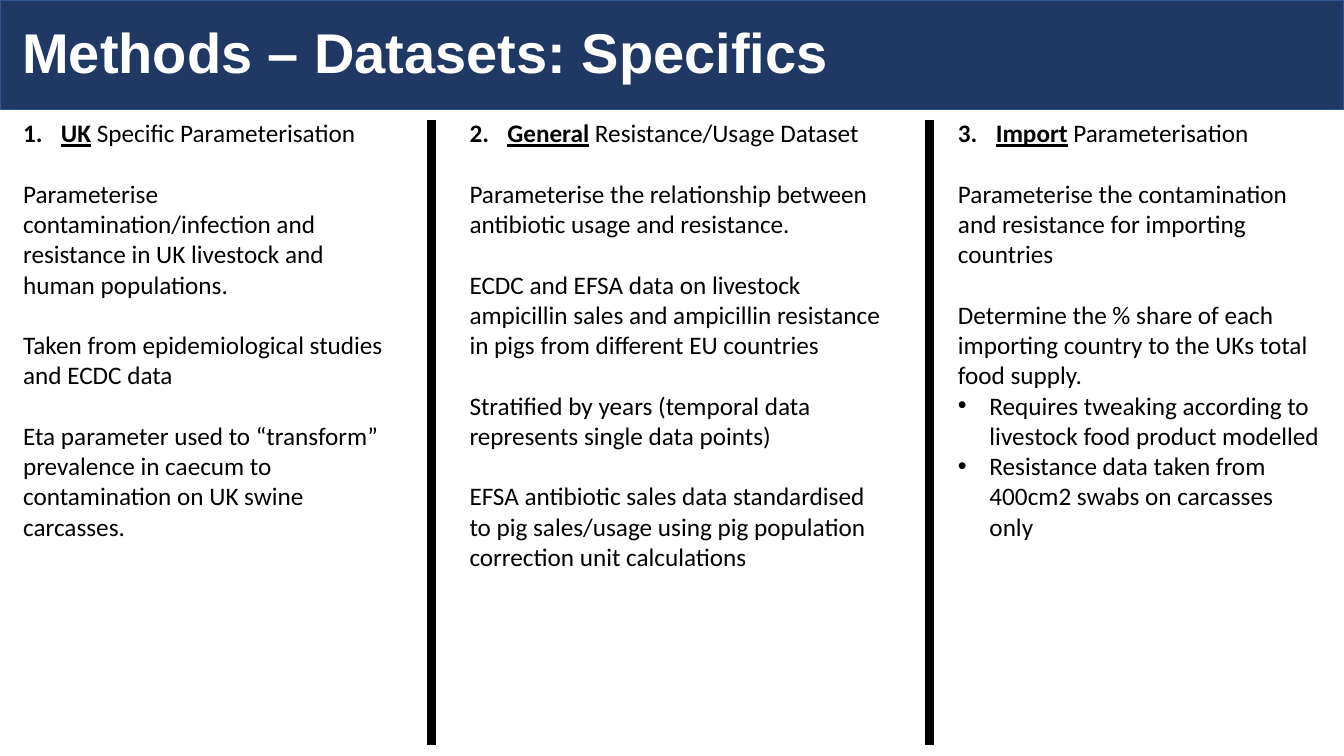
from dataclasses import dataclass
from typing import Optional

from pptx import Presentation
from pptx.dml.color import RGBColor
from pptx.enum.shapes import MSO_CONNECTOR, MSO_SHAPE
from pptx.enum.text import MSO_ANCHOR, MSO_AUTO_SIZE, PP_ALIGN
from pptx.oxml.xmlchemy import OxmlElement
from pptx.util import Pt

RECT = MSO_SHAPE.RECTANGLE
LINE = MSO_CONNECTOR.STRAIGHT
MIDDLE = MSO_ANCHOR.MIDDLE
GROW = MSO_AUTO_SIZE.SHAPE_TO_FIT_TEXT
LEFT = PP_ALIGN.LEFT


@dataclass(frozen=True)
class Theme:
    navy: RGBColor = RGBColor(0x20, 0x38, 0x64)
    edge: RGBColor = RGBColor(0x2F, 0x55, 0x97)
    white: RGBColor = RGBColor(255, 255, 255)
    black: RGBColor = RGBColor(0, 0, 0)
    head: str = "Arial"
    body: str = "Calibri"
    large: float = 40
    small: float = 18
    gap: float = 21.6


@dataclass(frozen=True)
class Column:
    left: float
    width: float
    height: float
    key: str
    topic: str
    texts: tuple[str, ...]
    points: tuple[str, ...] = ()


THEME = Theme()
WIDTH, HEIGHT = 960, 540
BANNER = 78.5
TOP = 80.6
RULES = (308.2, 663.8)
RULE_TOP, RULE_END = 85.7, 532.1

COLUMNS = (
    Column(9.4, 282.2, 334, "UK", " Specific Parameterisation", (
        "Parameterise contamination/infection and resistance in UK livestock "
        "and human populations.",
        "Taken from epidemiological studies and ECDC data",
        "Eta parameter used to “transform” prevalence in caecum to "
        "contamination on UK swine carcasses.",
    )),
    Column(328.3, 312.5, 334, "General", " Resistance/Usage Dataset", (
        "Parameterise the relationship between antibiotic usage and resistance.",
        "ECDC and EFSA data on livestock ampicillin sales and ampicillin "
        "resistance in pigs from different EU countries",
        "Stratified by years (temporal data represents single data points)",
        "EFSA antibiotic sales data standardised to pig sales/usage using pig "
        "population correction unit calculations",
    )),
    Column(677.2, 272.9, 312.5, "Import", " Parameterisation", (
        "Parameterise the contamination and resistance for importing countries",
        "Determine the % share of each importing country to the UKs total "
        "food supply.",
    ), (
        "Requires tweaking according to livestock food product modelled",
        "Resistance data taken from 400cm2 swabs on carcasses only",
    )),
)


def write(para, text: str, *, font: str = THEME.body, size: float = THEME.small,
          color: RGBColor = THEME.black, bold: bool = False,
          under: bool = False, before: float = 0) -> None:
    """Append a formatted run and set the space before its paragraph."""
    para.alignment = LEFT
    para.space_before = Pt(before)
    run = para.add_run()
    run.text = text
    run.font.name = font
    run.font.size = Pt(size)
    run.font.color.rgb = color
    run.font.bold = bold
    run.font.underline = under


def mark(para, indent: float, start: Optional[int] = None) -> None:
    """Give a paragraph a number, or a round bullet if start is None."""
    props = para._p.get_or_add_pPr()
    props.set("marL", str(Pt(indent)))
    props.set("indent", str(-Pt(indent)))
    face = OxmlElement("a:buFont")
    face.set("typeface", THEME.head if start is None else THEME.body)
    if start is None:
        sign = OxmlElement("a:buChar")
        sign.set("char", "•")
    else:
        sign = OxmlElement("a:buAutoNum")
        sign.set("type", "arabicPeriod")
        sign.set("startAt", str(start))
    props.extend((face, sign))


def banner(slide, text: str) -> None:
    shape = slide.shapes.add_shape(RECT, 0, 0, Pt(WIDTH), Pt(BANNER))
    shape.shadow.inherit = False
    shape.fill.solid()
    shape.fill.fore_color.rgb = THEME.navy
    shape.line.color.rgb = THEME.edge
    shape.line.width = Pt(0.75)
    frame = shape.text_frame
    frame.vertical_anchor = MIDDLE
    frame.margin_left = Pt(16)
    para = frame.paragraphs[0]
    para.line_spacing = 0.9
    write(para, text, font=THEME.head, size=THEME.large,
          color=THEME.white, bold=True)


def column(slide, item: Column, number: int) -> None:
    box = slide.shapes.add_textbox(Pt(item.left), Pt(TOP),
                                   Pt(item.width), Pt(item.height))
    frame = box.text_frame
    frame.word_wrap = True
    frame.auto_size = GROW
    title = frame.paragraphs[0]
    mark(title, 27, number)
    write(title, item.key, bold=True, under=True)
    write(title, item.topic)
    for text in item.texts:
        write(frame.add_paragraph(), text, before=THEME.gap)
    for text in item.points:
        para = frame.add_paragraph()
        mark(para, 22.5)
        write(para, text)


def rule(slide, left: float) -> None:
    line = slide.shapes.add_connector(LINE, Pt(left), Pt(RULE_TOP),
                                      Pt(left), Pt(RULE_END))
    line.line.color.rgb = THEME.black
    line.line.width = Pt(6)
    line._element.spPr.append(OxmlElement("a:effectLst"))


def main() -> None:
    deck = Presentation()
    deck.slide_width, deck.slide_height = Pt(WIDTH), Pt(HEIGHT)
    slide = deck.slides.add_slide(deck.slide_layouts[6])
    banner(slide, "Methods – Datasets: Specifics")
    for number, item in enumerate(COLUMNS, 1):
        column(slide, item, number)
    for left in RULES:
        rule(slide, left)
    deck.save("out.pptx")


if __name__ == "__main__":
    main()
